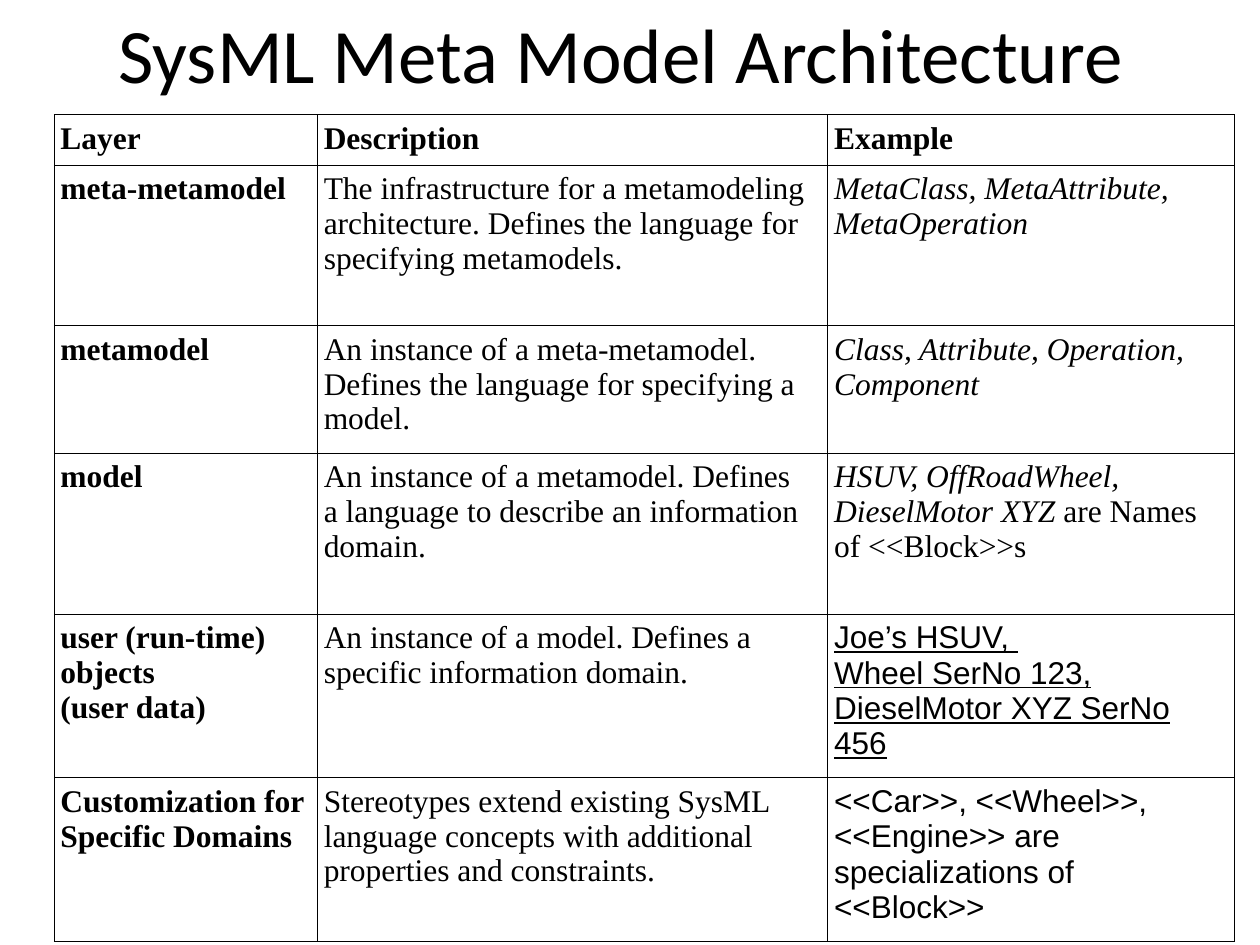
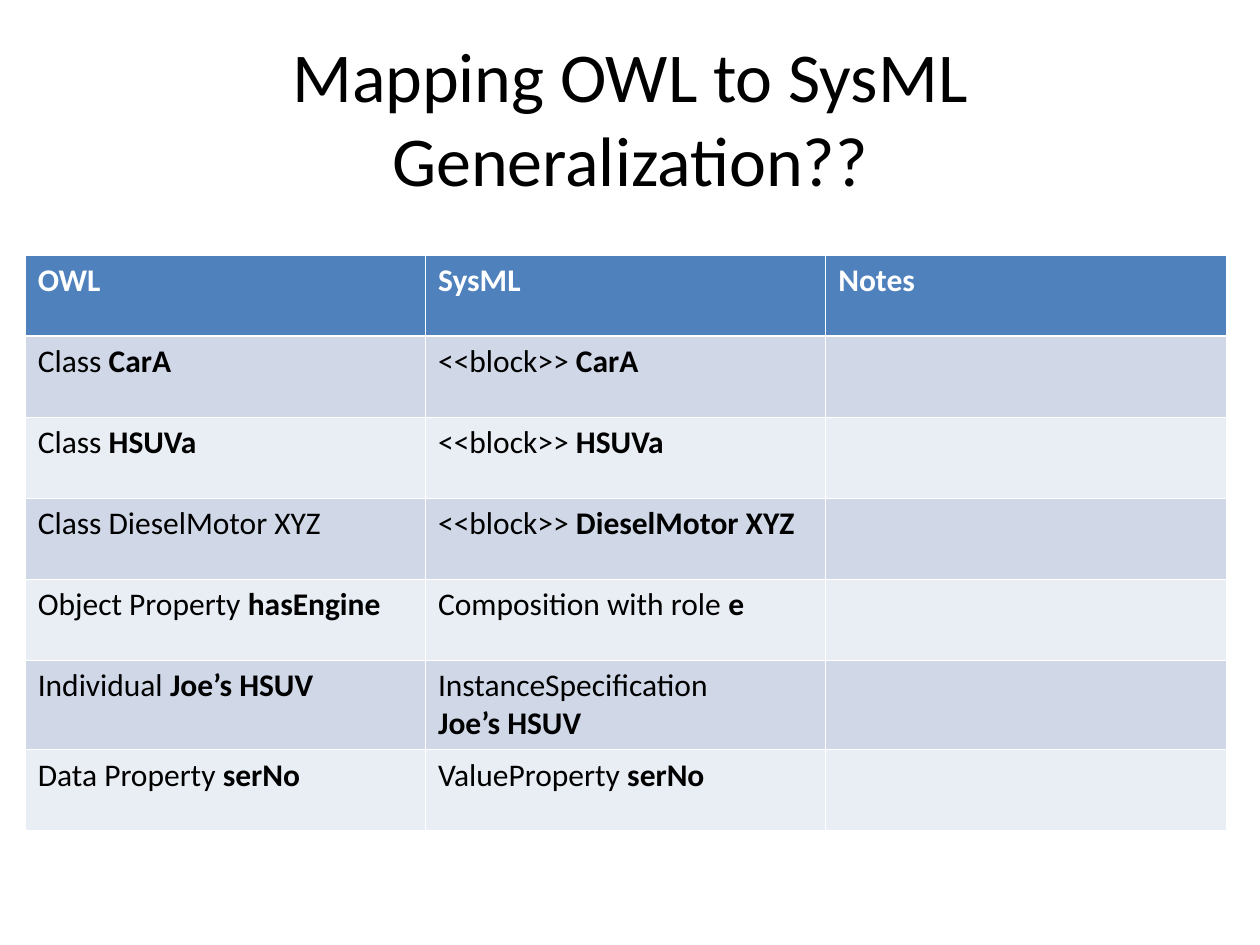
from lxml.etree import SubElement
from pptx import Presentation
from pptx.dml.color import RGBColor
from pptx.enum.text import MSO_ANCHOR, PP_ALIGN
from pptx.oxml.ns import qn
from pptx.util import Inches, Pt

WIDTH, HEIGHT = Inches(10), Inches(7.5)
BLACK, WHITE, BLUE = "000000", "FFFFFF", "4F81BD"
BANDS = ["E9EDF4", "D0D8E8"]
THIN, THICK = 0.45, 1.47

SERIF = {"name": "Times New Roman", "size": Pt(18)}
SERIF_BOLD = SERIF | {"bold": True}
SERIF_ITALIC = SERIF | {"italic": True}
ARIAL = SERIF | {"name": "Arial"}
ARIAL_UNDERLINED = ARIAL | {"underline": True}
SANS = {"name": "Calibri", "size": Pt(18), "bold": False}
SANS_BOLD = SANS | {"bold": True}


def write(frame, text, color, plain, marked=None):
    for number, line in enumerate(text.split("\n")):
        paragraph = frame.paragraphs[0] if number == 0 else frame.add_paragraph()
        for part, words in enumerate(line.split("*")):
            if words:
                run = paragraph.add_run()
                run.text = words
                run.font.color.rgb = RGBColor.from_string(color)
                for key, value in (marked if part % 2 else plain).items():
                    setattr(run.font, key, value)


def border(cell, color, top, bottom):
    properties = cell._tc.get_or_add_tcPr()
    sides = {"a:lnL": THIN, "a:lnR": THIN, "a:lnT": top, "a:lnB": bottom}
    for position, (side, points) in enumerate(sides.items()):
        line = SubElement(properties, qn(side), w=str(Pt(points)))
        fill = SubElement(line, qn("a:solidFill"))
        SubElement(fill, qn("a:srgbClr"), val=color)
        properties.insert(position, line)


layers = [
    ["Layer", "Description", "Example"],
    ["meta-metamodel",
     "The infrastructure for a metamodeling\narchitecture. Defines the language for\nspecifying metamodels.",
     "MetaClass, MetaAttribute,\nMetaOperation"],
    ["metamodel",
     "An instance of a meta-metamodel.\nDefines the language for specifying a\nmodel.",
     "Class, Attribute, Operation,\nComponent"],
    ["model",
     "An instance of a metamodel. Defines\na language to describe an information\ndomain.",
     "HSUV, OffRoadWheel, DieselMotor XYZ *are Names of <<Block>>s"],
    ["user (run-time) objects\n(user data)",
     "An instance of a model. Defines a\nspecific information domain.",
     "Joe’s HSUV, \nWheel SerNo 123, DieselMotor XYZ SerNo 456"],
    ["Customization for Specific Domains",
     "Stereotypes extend existing SysML language concepts with additional properties and constraints.",
     "<<Car>>, <<Wheel>>, <<Engine>> are specializations of <<Block>>"],
]
example_styles = [SERIF_BOLD] + [SERIF_ITALIC] * 3 + [ARIAL_UNDERLINED, ARIAL]

mappings = [
    ["OWL", "SysML", "Notes"],
    ["Class *CarA", "<<block>> *CarA", ""],
    ["Class *HSUVa", "<<block>> *HSUVa", ""],
    ["Class DieselMotor XYZ", "<<block>> *DieselMotor XYZ", ""],
    ["Object Property *hasEngine", "Composition with role *e", ""],
    ["Individual *Joe’s HSUV", "InstanceSpecification\n*Joe’s HSUV", ""],
    ["Data Property *serNo", "ValueProperty *serNo", ""],
]

pages = [
    {"title": "SysML Meta Model Architecture", "title_size": 44,
     "title_at": (4.3, 0, 90, 11.2), "corner": (4.3, 12.13), "content": layers,
     "columns": [20.9, 40.5, 32.3], "rows": [4, 17, 13.5, 17, 16.2, 16.2],
     "inset": 0.05, "line": BLACK},
    {"title": "Mapping OWL to SysML Generalization??", "title_size": 40,
     "title_at": (5, 4, 90, 16.67), "corner": (2, 27), "content": mappings,
     "columns": [31.77] * 3, "rows": [8.57] * 5 + [9.5, 8.57],
     "inset": 0.1, "line": WHITE},
]

deck = Presentation()
deck.slide_width, deck.slide_height = WIDTH, HEIGHT
across, down = WIDTH / 100, HEIGHT / 100

for page in pages:
    slide = deck.slides.add_slide(deck.slide_layouts[6])
    x, y, w, h = page["title_at"]
    heading = slide.shapes.add_textbox(int(x * across), int(y * down), int(w * across), int(h * down)).text_frame
    heading.word_wrap = True
    heading.vertical_anchor = MSO_ANCHOR.MIDDLE
    write(heading, page["title"], BLACK, {"name": "Calibri", "size": Pt(page["title_size"])})
    heading.paragraphs[0].alignment = PP_ALIGN.CENTER

    content, columns, rows = page["content"], page["columns"], page["rows"]
    left, top = page["corner"]
    grid = slide.shapes.add_table(
        len(rows), len(columns), int(left * across), int(top * down),
        int(sum(columns) * across), int(sum(rows) * down)).table
    grid.first_row = grid.horz_banding = False
    for column, share in zip(grid.columns, columns):
        column.width = int(share * across)
    for row, share in zip(grid.rows, rows):
        row.height = int(share * down)

    for r, texts in enumerate(content):
        for c, text in enumerate(texts):
            cell = grid.cell(r, c)
            cell.margin_left = cell.margin_right = Inches(page["inset"])
            cell.margin_top = cell.margin_bottom = Inches(0.05)
            above = below = THIN
            if content is layers:
                cell.fill.background()
                plain = SERIF_BOLD if r == 0 else [SERIF_BOLD, SERIF, example_styles[r]][c]
                write(cell.text_frame, text, BLACK, plain, SERIF)
            else:
                cell.fill.solid()
                cell.fill.fore_color.rgb = RGBColor.from_string(BANDS[r % 2] if r else BLUE)
                write(cell.text_frame, text, BLACK if r else WHITE, SANS if r else SANS_BOLD, SANS_BOLD)
                above = THICK if r == 1 else THIN
                below = THICK if r == 0 else THIN
            border(cell, page["line"], above, below)

deck.save("out.pptx")
